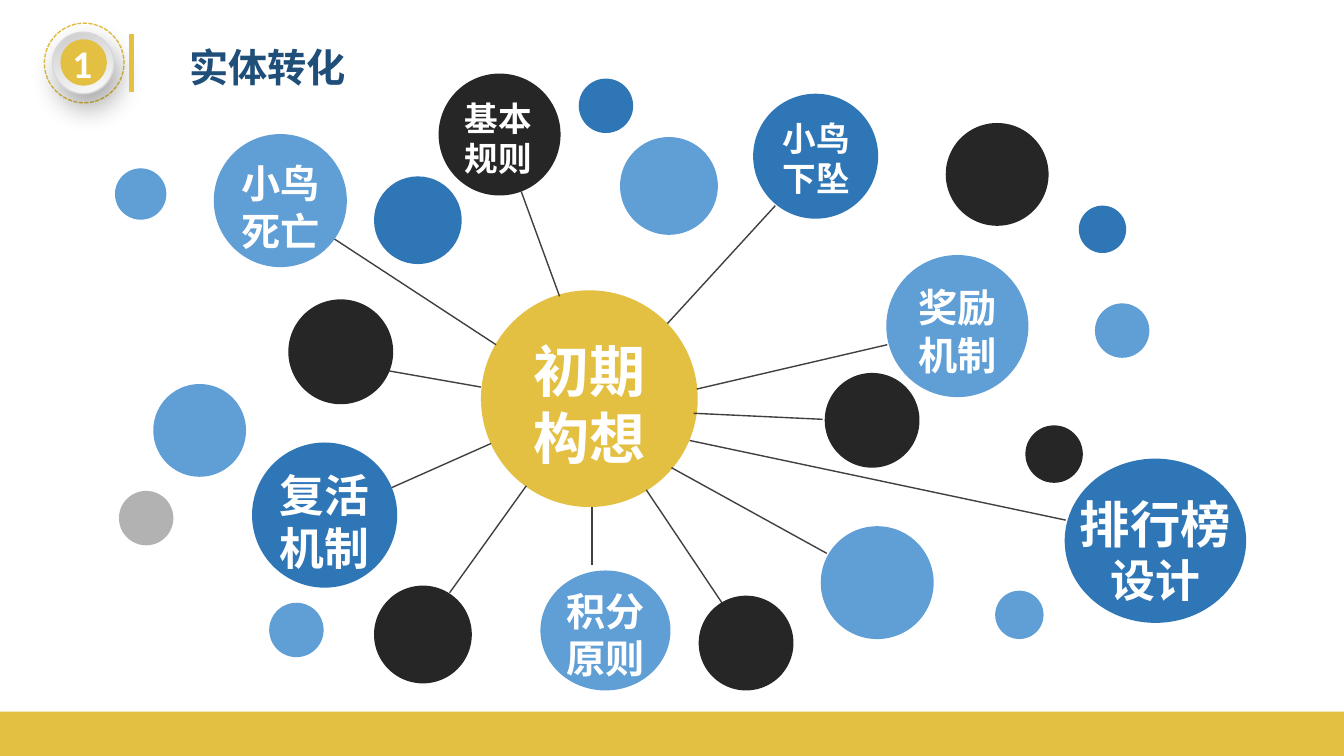
from lxml import etree
from pptx import Presentation
from pptx.dml.color import RGBColor
from pptx.enum.dml import MSO_LINE
from pptx.enum.shapes import MSO_CONNECTOR, MSO_SHAPE
from pptx.enum.text import MSO_ANCHOR, PP_ALIGN
from pptx.oxml import parse_xml
from pptx.oxml.ns import nsdecls, qn
from pptx.util import Pt

OVAL, RECT = MSO_SHAPE.OVAL, MSO_SHAPE.RECTANGLE
STRAIGHT = MSO_CONNECTOR.STRAIGHT
CENTER, JUSTIFY, LEFT = PP_ALIGN.CENTER, PP_ALIGN.JUSTIFY, PP_ALIGN.LEFT
TOP = MSO_ANCHOR.TOP
DASH = MSO_LINE.SQUARE_DOT
PX = 9144  # 100 px to the inch
CJK, LATIN = "Noto Sans CJK SC", "Calibri"
COLORS = {key: RGBColor.from_string(value) for key, value in {
    "gold": "E3BF42", "blue": "2F76B7", "sky": "609ED6", "black": "262626",
    "gray": "B2B2B2", "spoke": "404040", "navy": "1F4E79", "white": "FFFFFF",
    "rim": "D9D9D9", "shade": "CCCCCC", "shine": "FCFCFC",
}.items()}

prs = Presentation()
prs.slide_width, prs.slide_height = 1333 * PX, 750 * PX
slide = prs.slides.add_slide(prs.slide_layouts[6])


def add_figure(kind, box, fill=None, line=None):
    figure = slide.shapes.add_shape(kind, *(v * PX for v in box))
    figure.shadow.inherit = False
    if fill:
        figure.fill.solid()
        figure.fill.fore_color.rgb = COLORS[fill]
    else:
        figure.fill.background()
    if line:
        figure.line.color.rgb = COLORS[line]
        figure.line.width = Pt(1)
    else:
        figure.line.fill.background()
    return figure


def add_words(box, lines, color="white", align=CENTER, font=CJK, wrap=True):
    frame = slide.shapes.add_textbox(*(v * PX for v in box)).text_frame
    frame.word_wrap = wrap
    frame.vertical_anchor = TOP
    for i, (words, size) in enumerate(lines):
        paragraph = frame.paragraphs[0] if i == 0 else frame.add_paragraph()
        run = paragraph.add_run()
        run.text = words
        paragraph.alignment = align
        paragraph.font.size, paragraph.font.bold = Pt(size), True
        paragraph.font.name = font
        paragraph.font.color.rgb = COLORS[color]
        if font == CJK:
            # Chinese glyphs take the East Asian typeface
            ea = etree.SubElement(run.font._element, qn("a:ea"))
            ea.set("typeface", CJK)
            paragraph.line_spacing = Pt(round(size * 1.2))
    if font == CJK:
        frame.margin_top = 5 * PX + Pt(lines[0][1] * 0.1)


# Footer band
add_figure(RECT, (0, 706, 1333, 44), "gold")

# Section badge and title
dashed_ring = add_figure(OVAL, (44, 23, 79, 79), line="gold")
dashed_ring.line.dash_style = DASH
button = add_figure(OVAL, (52, 32, 61, 61), "rim", "rim")
button.fill.gradient()
button.fill.gradient_angle = 290
for stop, tone, position in zip(button.fill.gradient_stops, ("shade", "shine"), (0, 1)):
    stop.color.rgb = COLORS[tone]
    stop.position = position
button_effects = button._element.spPr.find(qn("a:effectLst"))
button_effects.append(parse_xml(
    f'<a:outerShdw {nsdecls("a")} blurRad="{Pt(20)}" dist="{Pt(10)}" dir="4200000" '
    'algn="ctr" rotWithShape="0"><a:srgbClr val="000000"><a:alpha val="34000"/>'
    '</a:srgbClr></a:outerShdw>'))
add_figure(OVAL, (60, 39, 46, 46), "gold")
add_words((62, 34, 40, 57), [("1", 28)], align=LEFT, font=LATIN, wrap=False)
add_words((178, 34, 176, 57), [("实体转化", 28)], "navy", JUSTIFY, wrap=False)
add_figure(RECT, (129, 34, 3, 57), "gold", "gold")

# Hub
add_figure(OVAL, (477, 288, 215, 215), "gold")
add_words((503, 323, 163, 145), [("初期", 40), ("构想", 40)])

# Spokes
spokes = [
    (684, 437, 1057, 516), (666, 464, 820, 549), (641, 486, 716, 598),
    (587, 503, 587, 561), (330, 236, 492, 342), (517, 190, 555, 294),
    (769, 204, 662, 321), (880, 342, 691, 386), (487, 440, 388, 484),
    (477, 384, 386, 368), (522, 482, 446, 588), (816, 416, 688, 410),
]
for ends in spokes:
    spoke = slide.shapes.add_connector(STRAIGHT, *(v * PX for v in ends))
    spoke.line.color.rgb = COLORS["spoke"]
    spoke.line.width = Pt(1)
    etree.SubElement(spoke._element.spPr, qn("a:effectLst"))

# Plain circles: left, top, diameter
dots = [
    (574, 78, 54, "blue"), (267, 598, 54, "sky"), (1070, 204, 47, "blue"),
    (987, 586, 48, "sky"), (1017, 422, 57, "black"), (118, 487, 54, "gray"),
    (114, 167, 51, "sky"), (1086, 301, 54, "sky"), (615, 136, 97, "sky"),
    (938, 122, 102, "black"), (814, 522, 112, "sky"), (286, 297, 104, "black"),
    (371, 581, 97, "black"), (693, 591, 94, "black"), (152, 381, 92, "sky"),
    (818, 370, 94, "black"), (371, 175, 87, "blue"),
]
for left, top, diameter, color in dots:
    add_figure(OVAL, (left, top, diameter, diameter), color)

# Named ideas: circle, colour, text box, lines
ideas = [
    ((879, 253, 141, 141), "sky", (882, 272, 136, 104), [("奖励", 28), ("机制", 28)]),
    ((1056, 455, 180, 163), "blue", (1048, 479, 196, 124), [("排行榜", 36), ("设计", 32)]),
    ((250, 439, 144, 144), "blue", (254, 455, 136, 118), [("复活", 32), ("机制", 32)]),
    ((435, 73, 121, 121), "black", (434, 88, 121, 131), [("基本", 24), ("规则", 24)]),
    ((747, 93, 124, 124), "blue", (753, 108, 113, 91), [("小鸟", 24), ("下坠", 24)]),
    ((536, 566, 129, 119), "sky", (542, 573, 118, 104), [("积分", 28), ("原则", 28)]),
    ((212, 133, 132, 132), "sky", (212, 149, 132, 104), [("小鸟", 28), ("死亡", 28)]),
]
for circle, color, box, lines in ideas:
    add_figure(OVAL, circle, color)
    add_words(box, lines)

prs.save("out.pptx")
